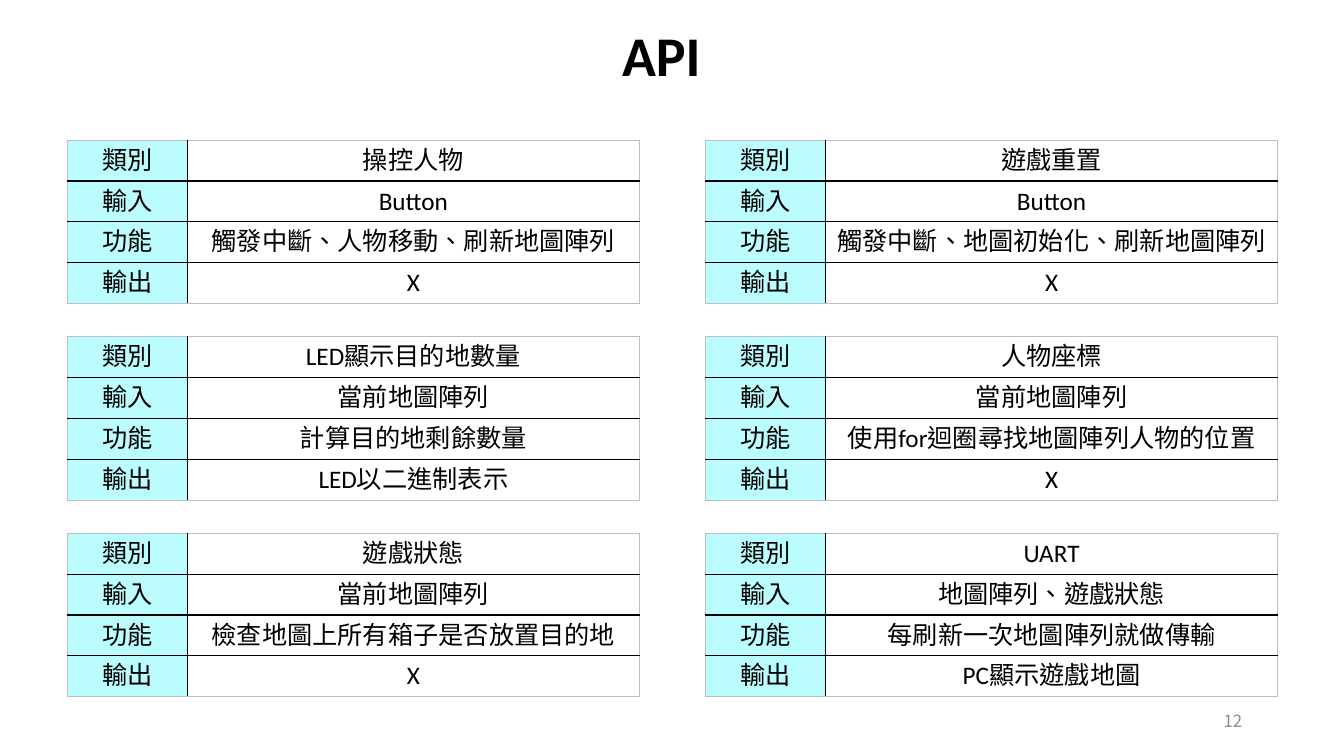
from lxml.etree import SubElement
from pptx import Presentation
from pptx.dml.color import RGBColor
from pptx.enum.lang import MSO_LANGUAGE_ID as Language
from pptx.enum.text import MSO_ANCHOR as Anchor, PP_ALIGN as Align
from pptx.oxml.ns import qn
from pptx.util import Inches, Pt

BLACK = RGBColor(0x00, 0x00, 0x00)
GRAY = RGBColor(0x8C, 0x8C, 0x8C)
OUTLINE = RGBColor(0xBF, 0xBF, 0xBF)
CYAN = RGBColor(0xBB, 0xFD, 0xFF)

LABELS = ["類別", "輸入", "功能", "輸出"]
API_GRID = [
    [["操控人物", "Button", "觸發中斷、人物移動、刷新地圖陣列", "X"],
     ["遊戲重置", "Button", "觸發中斷、地圖初始化、刷新地圖陣列", "X"]],
    [["LED顯示目的地數量", "當前地圖陣列", "計算目的地剩餘數量", "LED以二進制表示"],
     ["人物座標", "當前地圖陣列", "使用for迴圈尋找地圖陣列人物的位置", "X"]],
    [["遊戲狀態", "當前地圖陣列", "檢查地圖上所有箱子是否放置目的地", "X"],
     ["UART", "地圖陣列、遊戲狀態", "每刷新一次地圖陣列就做傳輸", "PC顯示遊戲地圖"]],
]


def add_text(frame, text, size, align, color=BLACK, font="Calibri", bold=False):
    """Write one formatted run into the first paragraph of a frame."""
    para = frame.paragraphs[0]
    para.alignment = align
    span = para.add_run()
    span.text = text
    span.font.size = Pt(size)
    span.font.bold = bold
    span.font.name = font
    span.font.color.rgb = color
    span.font.language_id = Language.TRADITIONAL_CHINESE
    SubElement(span.font._element, qn("a:ea")).set("typeface", font)


def set_borders(cell, row, column, last_row):
    """Draw gray lines on the table's outside and black ones inside."""
    outer_sides = {"L": column == 0, "R": column == 1, "T": row == 0, "B": row == last_row}
    properties = cell._tc.get_or_add_tcPr()
    for index, (side, is_outer) in enumerate(outer_sides.items()):
        line = SubElement(properties, qn(f"a:ln{side}"))
        line.set("w", str(Pt(0.5 if is_outer else 1)))
        fill = SubElement(line, qn("a:solidFill"))
        SubElement(fill, qn("a:srgbClr")).set("val", str(OUTLINE if is_outer else BLACK))
        properties.insert(index, line)


def add_title(page, left, top, width, height):
    """Place and format the slide title."""
    title = page.shapes.title
    title.left, title.top, title.width, title.height = map(Inches, (left, top, width, height))
    title.text_frame.vertical_anchor = Anchor.TOP
    title.text_frame.word_wrap = True
    add_text(title.text_frame, "API", 40, Align.LEFT, bold=True)


def add_api_table(page, values, left, top, width, height):
    """Add one labelled API table in the given box."""
    frame = page.shapes.add_table(len(LABELS), 2, *map(Inches, (left, top, width, height)))
    table = frame.table
    table.first_row = table.horz_banding = False
    label_width = 1.19
    table.columns[0].width = Inches(label_width)
    table.columns[1].width = Inches(width - label_width)
    for row, pair in enumerate(zip(LABELS, values)):
        for column, text in enumerate(pair):
            cell = table.cell(row, column)
            if column == 0:
                cell.fill.solid()
                cell.fill.fore_color.rgb = CYAN
            else:
                cell.fill.background()
            set_borders(cell, row, column, len(LABELS) - 1)
            add_text(cell.text_frame, text, 18, Align.CENTER)


def add_api_grid(page, left, top, column_step, row_step):
    """Arrange the API tables in an even grid."""
    for row, tables in enumerate(API_GRID):
        for column, values in enumerate(tables):
            add_api_table(page, values, left + column * column_step,
                          top + row * row_step, 5.67, 1.62)


def add_page_number(page, left, top, width, height):
    """Add the page number at the right of its box."""
    box = page.shapes.add_textbox(*map(Inches, (left, top, width, height)))
    box.text_frame.word_wrap = True
    box.text_frame.vertical_anchor = Anchor.MIDDLE
    add_text(box.text_frame, "12", 12, Align.RIGHT, GRAY, "Noto Sans CJK TC")


def main():
    """Build and save the API slide."""
    deck = Presentation()
    deck.slide_width, deck.slide_height = Inches(13.33), Inches(7.5)
    page = deck.slides.add_slide(deck.slide_layouts[5])
    add_title(page, 6.07, 0.15, 1.18, 0.77)
    add_api_grid(page, 0.67, 1.39, 6.33, 1.95)
    add_page_number(page, 9.42, 6.95, 3, 0.4)
    deck.save("out.pptx")


if __name__ == "__main__":
    main()
